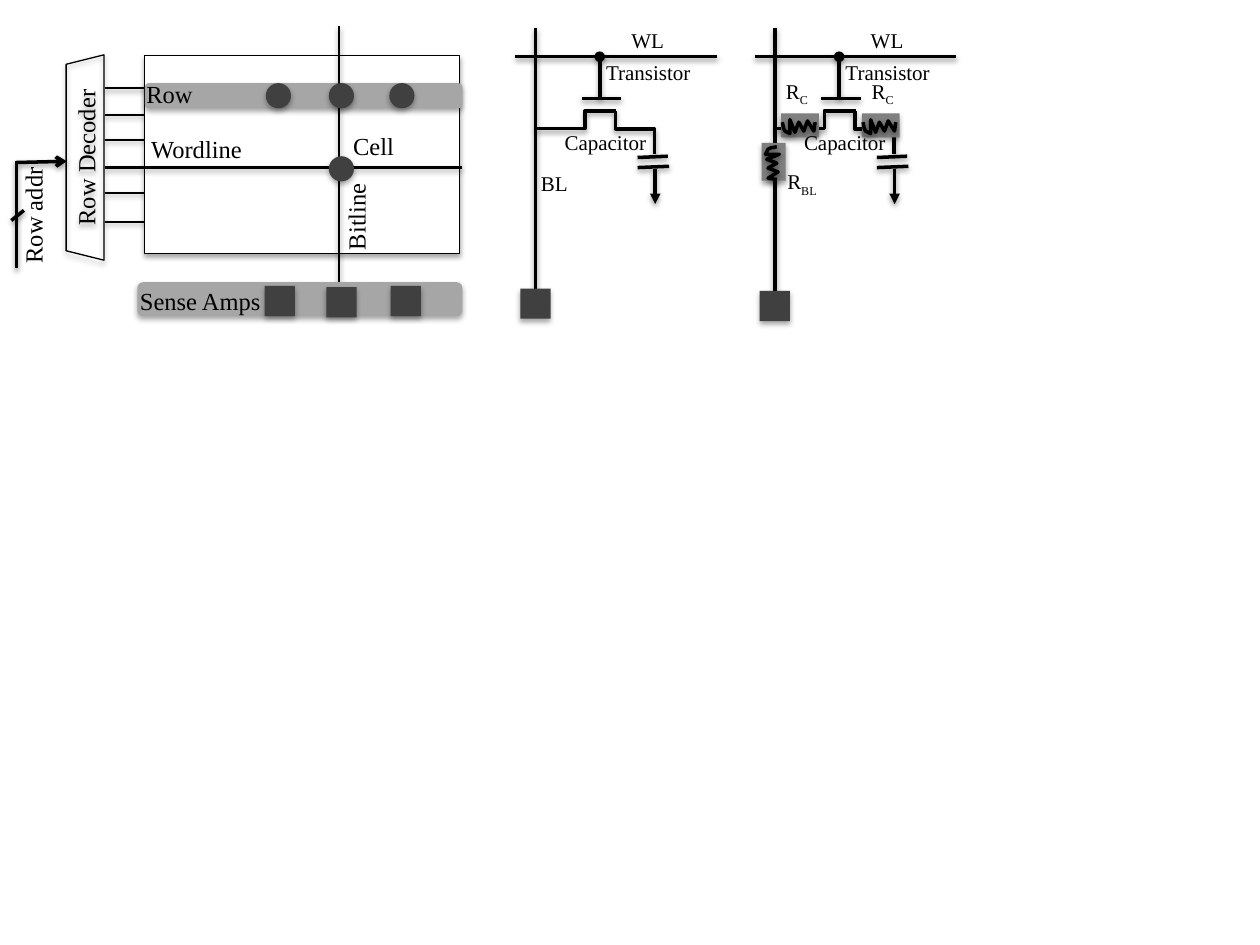
from lxml import etree
from pptx import Presentation
from pptx.dml.color import RGBColor
from pptx.enum.shapes import MSO_CONNECTOR, MSO_SHAPE
from pptx.enum.text import MSO_ANCHOR, PP_ALIGN
from pptx.oxml.ns import qn
from pptx.util import Inches, Pt

THEME = {
    "font": "Times New Roman", "array_pt": 14, "circuit_pt": 12,
    "ink": "000000", "paper": "FFFFFF", "band": "A6A6A6",
    "resistor": "808080", "dark": "404040",
    "thin": 0.75, "wire": 1, "line": 1.25, "thick": 2,
}
SHADOW = {"line": (38, 3.1, 1.6), "shape": (35, 3.1, 1.8)}  # alpha %, blur, distance

# Memory array: (text, left, top, width, height, rotation)
ARRAY_LABELS = [
    ("Sense Amps", 0.91, 2.25, 1.36, 0.28, 0),
    ("Cell", 2.66, 1.02, 0.61, 0.28, 0),
    ("Wordline", 0.88, 1.04, 1.36, 0.28, 0),
    ("Row", 0.97, 0.62, 0.75, 0.25, 0),
    ("Bitline", 2.32, 1.58, 1.01, 0.28, 270),
    ("Row addr", -0.28, 1.61, 1.08, 0.2, 270),
]
DECODER_OUTPUTS = [(0.7, "line"), (0.91, "wire"), (1.11, "wire"), (1.53, "wire"), (1.76, "wire")]
CELLS = [(2.11, 0.66), (2.61, 0.66), (3.09, 0.66), (2.61, 1.24)]
SENSE_AMPS = [(2.1, 2.27), (2.59, 2.28), (3.1, 2.27)]

# Cell circuit, placed relative to the first one: (start, end, head, tail)
CIRCUIT_WIRES = [
    ((4.09, 0.45), (5.69, 0.45), None, None),        # wordline
    ((4.25, 0.22), (4.25, 2.32), None, None),        # bitline
    ((4.76, 0.45), (4.76, 0.78), "oval", None),      # gate contact
    ((4.62, 0.78), (4.93, 0.78), None, None),        # gate
    ((5.2, 1.34), (5.2, 1.62), None, "triangle"),    # ground
    ((5.06, 1.25), (5.3, 1.24), None, None),         # capacitor plates
    ((5.06, 1.33), (5.31, 1.32), None, None),
]
# (start, end, bend, rotation)
CIRCUIT_BENDS = [
    ((4.25, 1.02), (4.89, 0.88), 0.615, 0),
    ((5.21, 0.9), (4.87, 1.21), 0.408, 270),
]
CIRCUIT_LABELS = [
    ("WL", "", 4.9, 0.21, 0.48, 0.22),
    ("Transistor", "", 4.69, 0.52, 0.91, 0.11),
    ("Capacitor", "", 4.35, 1.07, 0.91, 0.11),
]
CIRCUITS = [  # x shift, sense amp top, own labels, resistors (left, top, rotation)
    (0, 2.29, [("BL", "", 4.16, 1.34, 0.48, 0.22)], []),
    (1.9, 2.31,
     [("R", "BL", 4.19, 1.32, 0.55, 0.27), ("R", "C", 4.15, 0.6, 0.55, 0.27),
      ("R", "C", 4.83, 0.6, 0.55, 0.27)],
     [(4.3, 0.9, 0), (4.94, 0.9, 0), (4.09, 1.19, 90)]),
]
ZIGZAG = [(0, 0.02), (0.01, 0.07), (0.02, 0.09), (0.04, 0.1), (0.06, 0.11), (0.06, 0),
          (0.1, 0.1), (0.13, 0.02), (0.17, 0.09), (0.2, 0.01), (0.25, 0.09), (0.26, 0.02)]


def color(name):
    return RGBColor.from_string(THEME[name])


def cast_shadow(props, kind):
    alpha, blur, distance = SHADOW[kind]
    effects = props.find(qn("a:effectLst"))
    if effects is None:
        effects = etree.SubElement(props, qn("a:effectLst"))
    outer = etree.SubElement(effects, qn("a:outerShdw"), blurRad=str(Pt(blur)),
                             dist=str(Pt(distance)), dir="5400000", rotWithShape="0")
    ink = etree.SubElement(outer, qn("a:srgbClr"), val=THEME["ink"])
    etree.SubElement(ink, qn("a:alpha"), val=str(alpha * 1000))


def stroke(line, weight):
    line.color.rgb = color("ink")
    line.width = Pt(THEME[weight])


def write(shape, text, size, sub=""):
    frame = shape.text_frame
    frame.word_wrap = True
    frame.vertical_anchor = MSO_ANCHOR.MIDDLE
    frame.margin_left = frame.margin_right = frame.margin_top = frame.margin_bottom = 0
    frame.text = text
    paragraph = frame.paragraphs[0]
    paragraph.alignment = PP_ALIGN.CENTER
    if sub:
        subscript = paragraph.add_run()
        subscript.text = sub
        subscript.font._element.set("baseline", "-25000")
    for run in paragraph.runs:
        run.font.name = THEME["font"]
        run.font.size = Pt(THEME[size])
        run.font.color.rgb = color("ink")


def add_label(shapes, text, left, top, width, height, size, rotation=0, sub=""):
    label = shapes.add_textbox(*map(Inches, (left, top, width, height)))
    label.rotation = rotation
    write(label, text, size, sub)


def finish(shape, fill=None, weight=None, rotation=0, kind="shape"):
    if fill:
        shape.fill.solid()
        shape.fill.fore_color.rgb = color(fill)
    else:
        shape.fill.background()
    if weight:
        stroke(shape.line, weight)
    else:
        shape.line.fill.background()
    shape.rotation = rotation
    shape.shadow.inherit = False
    cast_shadow(shape._element.spPr, kind)
    return shape


def add_part(shapes, preset, left, top, width, height, **look):
    return finish(shapes.add_shape(preset, *map(Inches, (left, top, width, height))), **look)


def add_wire(shapes, start, end, weight="thick", head=None, tail=None, bend=None, rotation=0):
    route = MSO_CONNECTOR.STRAIGHT if bend is None else MSO_CONNECTOR.ELBOW
    wire = shapes.add_connector(route, *map(Inches, (*start, *end)))
    stroke(wire.line, weight)
    props = wire._element.spPr
    for tag, arrow in (("a:headEnd", head), ("a:tailEnd", tail)):
        if arrow:
            etree.SubElement(props.find(qn("a:ln")), qn(tag), type=arrow)
    if bend is not None:
        guides = props.find(qn("a:prstGeom")).find(qn("a:avLst"))
        etree.SubElement(guides, qn("a:gd"), name="adj1", fmla=f"val {round(bend * 100000)}")
        props.find(qn("a:xfrm")).set("rot", str(rotation * 60000))
    cast_shadow(props, "line")


def add_resistor(shapes, left, top, rotation):
    add_part(shapes, MSO_SHAPE.RECTANGLE, left, top, 0.3, 0.19,
             fill="resistor", rotation=rotation)
    points = [(Inches(left + 0.01 + x), Inches(top + 0.05 + y)) for x, y in ZIGZAG]
    builder = shapes.build_freeform(*points[0])
    builder.add_line_segments(points[1:], close=False)
    finish(builder.convert_to_shape(), weight="thick", rotation=rotation, kind="line")


def add_circuit(shapes, shift, amp_top, own_labels, resistors):
    def moved(point):
        return point[0] + shift, point[1]

    for start, end, head, tail in CIRCUIT_WIRES:
        add_wire(shapes, moved(start), moved(end), head=head, tail=tail)
    for start, end, bend, rotation in CIRCUIT_BENDS:
        add_wire(shapes, moved(start), moved(end), bend=bend, rotation=rotation)
    for left, top, rotation in resistors:
        add_resistor(shapes, left + shift, top, rotation)
    for text, sub, left, *box in CIRCUIT_LABELS + own_labels:
        add_label(shapes, text, left + shift, *box, size="circuit_pt", sub=sub)
    add_part(shapes, MSO_SHAPE.RECTANGLE, 4.13 + shift, amp_top, 0.24, 0.24, fill="dark")


def add_array(shapes):
    # Row decoder, its outputs and the row address input
    decoder = add_part(shapes, MSO_SHAPE.TRAPEZOID, -0.14, 1.1, 1.63, 0.3,
                       weight="thin", rotation=270)
    write(decoder, "Row Decoder", "array_pt")
    for y, weight in DECODER_OUTPUTS:
        add_wire(shapes, (0.83, y), (1.25, y), weight)
    add_wire(shapes, (0.13, 1.29), (0.53, 1.28), tail="arrow")
    add_wire(shapes, (0.13, 1.28), (0.13, 2.13))
    add_wire(shapes, (0.09, 1.75), (0.19, 1.67))
    # Array with its row, bitline and wordline
    add_part(shapes, MSO_SHAPE.RECTANGLE, 1.15, 0.44, 2.5, 1.57, fill="paper", weight="thin")
    add_part(shapes, MSO_SHAPE.ROUNDED_RECTANGLE, 1.15, 0.66, 2.52, 0.2, fill="band")
    add_wire(shapes, (2.69, 0.21), (2.69, 2.25), "line")
    add_wire(shapes, (0.83, 1.33), (3.67, 1.33), "line")
    for left, top in CELLS:
        add_part(shapes, MSO_SHAPE.OVAL, left, top, 0.2, 0.2, fill="dark")
    # Sense amplifiers
    add_part(shapes, MSO_SHAPE.ROUNDED_RECTANGLE, 1.09, 2.24, 2.58, 0.27, fill="band")
    for left, top in SENSE_AMPS:
        add_part(shapes, MSO_SHAPE.RECTANGLE, left, top, 0.24, 0.24, fill="dark")
    for text, left, top, width, height, rotation in ARRAY_LABELS:
        add_label(shapes, text, left, top, width, height, "array_pt", rotation)


def main():
    deck = Presentation()
    deck.slide_width, deck.slide_height = Inches(10), Inches(7.5)
    slide = deck.slides.add_slide(deck.slide_layouts[6])
    for circuit in CIRCUITS:
        add_circuit(slide.shapes.add_group_shape().shapes, *circuit)
    add_array(slide.shapes.add_group_shape().shapes)
    deck.save("out.pptx")


if __name__ == "__main__":
    main()
